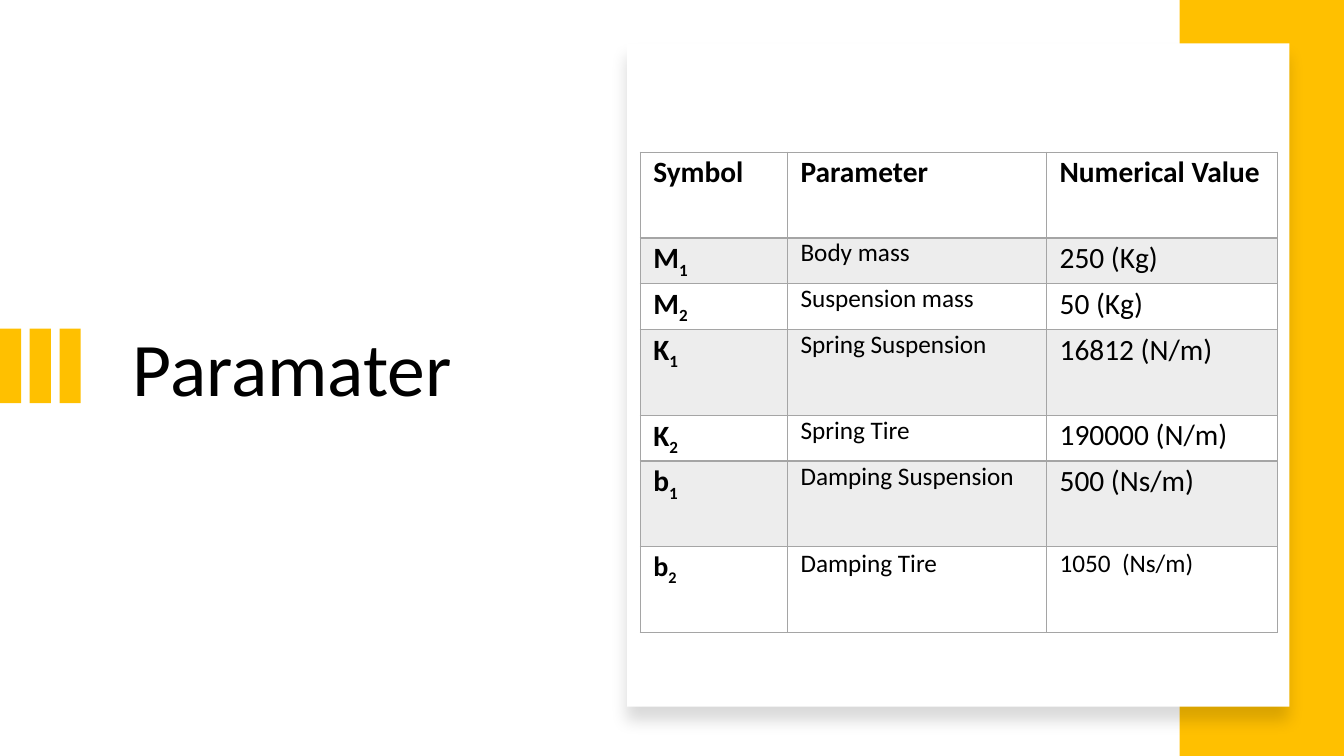
from lxml import etree
from pptx import Presentation
from pptx import util as u
from pptx.dml.color import RGBColor
from pptx.enum import shapes, text
from pptx.oxml import parse_xml
from pptx.oxml.ns import qn

YELLOW, WHITE, BLACK, GREY, BAND = "FFC000", "FFFFFF", "000000", "A5A5A5", "EDEDED"


def rgb(value):
    return RGBColor.from_string(value)


def add_run(p, words, size, bold=False):
    r = p.add_run()
    r.text = words
    r.font.name = "Calibri"
    r.font.size = u.Pt(size)
    r.font.bold = bold
    r.font.color.rgb = rgb(BLACK)
    return r


prs = Presentation()
prs.slide_width, prs.slide_height = u.Inches(13.33), u.Inches(7.5)
s = prs.slides.add_slide(prs.slide_layouts[6])

# Title
sp = s.shapes.add_textbox(u.Inches(1.22), u.Inches(3.24), u.Inches(4.41), u.Inches(2.61))
tf = sp.text_frame
tf.word_wrap = True
tf.vertical_anchor = text.MSO_ANCHOR.TOP
p = tf.paragraphs[0]
p.line_spacing = 0.9
add_run(p, "Paramater", 54)

# Three accent bars, side band and white card
bars = s.shapes.add_group_shape()
blocks = [(bars, i * 0.295, 3.26, 0.21, 0.74, YELLOW) for i in range(3)]
blocks += [(s, 11.7, 0, 1.63, 7.5, YELLOW), (s, 6.22, 0.43, 6.57, 6.58, WHITE)]
for parent, x, y, w, h, color in blocks:
    sp = parent.shapes.add_shape(shapes.MSO_SHAPE.RECTANGLE, u.Inches(x), u.Inches(y),
                                 u.Inches(w), u.Inches(h))
    sp.shadow.inherit = False
    sp.fill.solid()
    sp.fill.fore_color.rgb = rgb(color)
    sp.line.fill.background()
card = sp

# Soft shadow below the card
effects = card._element.spPr.find(qn("a:effectLst"))
shadow = etree.SubElement(effects, qn("a:outerShdw"), blurRad=str(u.Pt(11)), dist=str(u.Pt(10)),
                          dir="5400000", algn="t", rotWithShape="0")
tint = etree.SubElement(shadow, qn("a:srgbClr"), val=BLACK)
etree.SubElement(tint, qn("a:alpha"), val="15000")

# Parameter table: symbol, subscript, parameter, value, row height
rows = [
    ("Symbol", "", "Parameter", "Numerical Value", 0.85),
    ("M", "1", "Body mass", "250 (Kg)", 0.455),
    ("M", "2", "Suspension mass", "50 (Kg)", 0.455),
    ("K", "1", "Spring Suspension", "16812 (N/m)", 0.85),
    ("K", "2", "Spring Tire", "190000 (N/m)", 0.455),
    ("b", "1", "Damping Suspension", "500 (Ns/m)", 0.85),
    ("b", "2", "Damping Tire", "1050  (Ns/m)", 0.85),
]
widths = [1.46, 2.57, 2.29]
table = s.shapes.add_table(len(rows), len(widths), u.Inches(6.35), u.Inches(1.51),
                           u.Inches(6.31), u.Inches(4.77)).table
table.first_row = table.horz_banding = False
for column, width in zip(table.columns, widths):
    column.width = u.Inches(width)

for i, (symbol, subscript, parameter, value, height) in enumerate(rows):
    table.rows[i].height = u.Inches(height)
    header, last = i == 0, i == len(rows) - 1
    sizes = (20, 18, 18) if last else (21, 21 if header else 18, 21)
    for j, words in enumerate((symbol, parameter, value)):
        cell = table.cell(i, j)
        cell.margin_left = cell.margin_right = u.Inches(0.13)
        cell.margin_top = cell.margin_bottom = 0
        p = cell.text_frame.paragraphs[0]
        if header or last or j != 1:
            p.line_spacing = 1.07
        add_run(p, words, sizes[j], header or j == 0)
        if j == 0 and subscript:
            r = add_run(p, subscript, sizes[j], True)
            r.font._element.set("baseline", "-25000")
        if i % 2:
            cell.fill.solid()
            cell.fill.fore_color.rgb = rgb(BAND)
        else:
            cell.fill.background()
        # Cell borders, thicker under the header
        tcPr = cell._tc.get_or_add_tcPr()
        for k, side in enumerate("LRTB"):
            thick = (i, side) in ((0, "B"), (1, "T"))
            tcPr.insert(k, parse_xml(
                f'<a:ln{side} xmlns:a="http://schemas.openxmlformats.org/drawingml/2006/main" '
                f'w="{u.Pt(2 if thick else 1)}"><a:solidFill><a:srgbClr val="{GREY}"/>'
                f'</a:solidFill></a:ln{side}>'))

prs.save("out.pptx")
